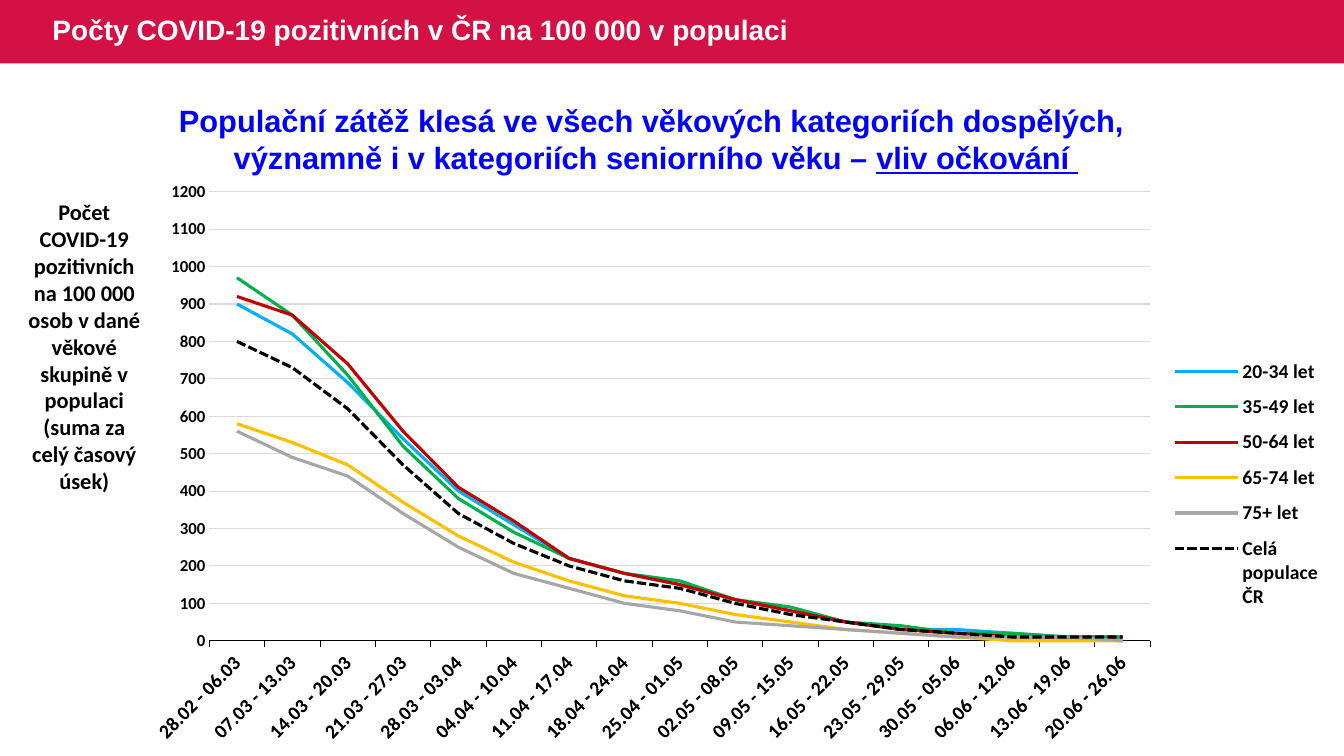
from dataclasses import dataclass
from typing import Any

from lxml import etree
from pptx import Presentation
from pptx.chart.data import CategoryChartData
from pptx.dml.color import RGBColor
from pptx.enum.chart import XL_CHART_TYPE, XL_LEGEND_POSITION, XL_TICK_MARK
from pptx.enum.dml import MSO_LINE
from pptx.enum.shapes import MSO_SHAPE
from pptx.enum.text import MSO_ANCHOR, MSO_AUTO_SIZE, PP_ALIGN
from pptx.oxml.ns import qn
from pptx.util import Inches, Pt

LINE_CHART = XL_CHART_TYPE.LINE
LEGEND_RIGHT = XL_LEGEND_POSITION.RIGHT
TICK_NONE, TICK_OUT = XL_TICK_MARK.NONE, XL_TICK_MARK.OUTSIDE
DASHED = MSO_LINE.SQUARE_DOT
RECTANGLE = MSO_SHAPE.RECTANGLE
MIDDLE = MSO_ANCHOR.MIDDLE
GROW = MSO_AUTO_SIZE.SHAPE_TO_FIT_TEXT
LEFT, CENTER = PP_ALIGN.LEFT, PP_ALIGN.CENTER
TITLE_ONLY = 5
SLIDE_WIDTH, SLIDE_HEIGHT = Inches(13.33), Inches(7.5)


@dataclass(frozen=True)
class Theme:
    heading_font: str = "Arial"
    body_font: str = "Calibri"
    banner: str = "D31145"
    title: str = "FFFFFF"
    message: str = "0000FF"
    text: str = "000000"
    grid: str = "D9D9D9"
    title_size: float = 20
    message_size: float = 22
    note_size: float = 16
    label_size: float = 14
    scale_size: float = 12
    curve_width: float = 2.25
    rule_width: float = 0.75


@dataclass(frozen=True)
class Area:
    """Percentages of the slide's width and height."""
    left: float
    top: float
    width: float
    height: float

    def bounds(self) -> tuple[int, int, int, int]:
        return (int(SLIDE_WIDTH * self.left / 100), int(SLIDE_HEIGHT * self.top / 100),
                int(SLIDE_WIDTH * self.width / 100), int(SLIDE_HEIGHT * self.height / 100))


@dataclass(frozen=True)
class AgeGroup:
    name: str
    color: str
    weekly: tuple[int, ...]
    dashed: bool = False


@dataclass(frozen=True)
class Phrase:
    text: str
    underline: bool = False


THEME = Theme()
BANNER = Area(0, 0, 100, 8.4)
TITLE = Area(3.15, 0, 62.8, 8.4)
CHART = Area(11.4, 23.33, 87.45, 78.27)
AXIS_NOTE = Area(1.13, 25.6, 10.28, 40.8)
MESSAGE = Area(2.25, 12.8, 93.1, 11.2)
PLOT_FRAME = {"x": 0.045, "y": 0.026, "w": 0.803, "h": 0.759}
LEGEND_FRAME = {"x": 0.86, "y": 0.29, "w": 0.14, "h": 0.46}

WEEKS = (
    "28.02 - 06.03", "07.03 - 13.03", "14.03 - 20.03", "21.03 - 27.03", "28.03 - 03.04",
    "04.04 - 10.04", "11.04 - 17.04", "18.04 - 24.04", "25.04 - 01.05", "02.05 - 08.05",
    "09.05 - 15.05", "16.05 - 22.05", "23.05 - 29.05", "30.05 - 05.06", "06.06 - 12.06",
    "13.06 - 19.06", "20.06 - 26.06",
)
AGE_GROUPS = (
    AgeGroup("20-34 let", "00B0F0",
             (900, 820, 690, 540, 400, 310, 220, 180, 150, 110, 80, 50, 30, 30, 20, 10, 10)),
    AgeGroup("35-49 let", "00B050",
             (970, 870, 710, 520, 380, 290, 220, 180, 160, 110, 90, 50, 40, 20, 20, 10, 10)),
    AgeGroup("50-64 let", "C00000",
             (920, 870, 740, 560, 410, 320, 220, 180, 150, 110, 80, 50, 30, 20, 10, 10, 0)),
    AgeGroup("65-74 let", "FFC000",
             (580, 530, 470, 370, 280, 210, 160, 120, 100, 70, 50, 30, 20, 10, 0, 0, 0)),
    AgeGroup("75+ let", "A6A6A6",
             (560, 490, 440, 340, 250, 180, 140, 100, 80, 50, 40, 30, 20, 10, 10, 10, 0)),
    AgeGroup("Celá populace ČR", THEME.text,
             (800, 730, 620, 470, 340, 260, 200, 160, 140, 100, 70, 50, 30, 20, 10, 10, 10), True),
)


def apply(target: Any, formats: dict[str, Any]) -> None:
    for attribute, value in formats.items():
        setattr(target, attribute, value)


def style_font(font: Any, family: str, size: float, color: str) -> None:
    apply(font, {"name": family, "size": Pt(size), "bold": True})
    font.color.rgb = RGBColor.from_string(color)


def style_line(line: Any, color: str, width: float) -> None:
    line.color.rgb = RGBColor.from_string(color)
    line.width = Pt(width)


def place(shape: Any, area: Area) -> None:
    apply(shape, dict(zip(("left", "top", "width", "height"), area.bounds())))


def write(frame: Any, lines: list[list[Phrase]], alignment: Any,
          family: str, size: float, color: str) -> None:
    for number, phrases in enumerate(lines):
        paragraph = frame.add_paragraph() if number else frame.paragraphs[0]
        paragraph.alignment = alignment
        for phrase in phrases:
            run = paragraph.add_run()
            run.text = phrase.text
            style_font(run.font, family, size, color)
            if phrase.underline:
                run.font.underline = True


def add_text(slide: Any, area: Area, lines: list[list[Phrase]],
             family: str, size: float, color: str) -> None:
    frame = slide.shapes.add_textbox(*area.bounds()).text_frame
    apply(frame, {"word_wrap": True, "auto_size": GROW})
    write(frame, lines, CENTER, family, size, color)


def set_frame(parent: Any, position: int, shares: dict[str, float], inner: bool = False) -> None:
    for previous in parent.findall(qn("c:layout")):
        parent.remove(previous)
    layout = etree.Element(qn("c:layout"))
    manual = etree.SubElement(layout, qn("c:manualLayout"))
    settings = {"layoutTarget": "inner"} if inner else {}
    settings |= {"xMode": "edge", "yMode": "edge"}
    settings |= {key: str(share) for key, share in shares.items()}
    for tag, value in settings.items():
        etree.SubElement(manual, qn(f"c:{tag}")).set("val", value)
    parent.insert(position, layout)


def add_banner_title(slide: Any) -> None:
    banner = slide.shapes.add_shape(RECTANGLE, *BANNER.bounds())
    banner.shadow.inherit = False
    banner.fill.solid()
    banner.fill.fore_color.rgb = RGBColor.from_string(THEME.banner)
    banner.line.fill.background()
    slide.shapes._spTree.insert(2, banner._element)
    title = slide.shapes.title
    place(title, TITLE)
    apply(title.text_frame, {"word_wrap": True, "vertical_anchor": MIDDLE})
    write(title.text_frame, [[Phrase("Počty COVID-19 pozitivních v ČR na 100 000 v populaci")]],
          LEFT, THEME.heading_font, THEME.title_size, THEME.title)
    title.text_frame.paragraphs[0].line_spacing = 0.9


def add_incidence_chart(slide: Any) -> None:
    data = CategoryChartData(number_format="0")
    data.categories = WEEKS
    for group in AGE_GROUPS:
        data.add_series(group.name, group.weekly)
    chart = slide.shapes.add_chart(LINE_CHART, *CHART.bounds(), data).chart
    apply(chart, {"has_title": False, "has_legend": True})
    apply(chart.legend, {"position": LEGEND_RIGHT, "include_in_layout": False})
    weeks, counts = chart.category_axis, chart.value_axis
    apply(weeks, {"major_tick_mark": TICK_OUT, "minor_tick_mark": TICK_NONE})
    apply(counts, {"major_tick_mark": TICK_NONE, "minor_tick_mark": TICK_NONE,
                   "minimum_scale": 0, "maximum_scale": 1200, "major_unit": 100,
                   "has_major_gridlines": True})
    for font, size in ((chart.font, THEME.label_size), (chart.legend.font, THEME.label_size),
                       (weeks.tick_labels.font, THEME.label_size),
                       (counts.tick_labels.font, THEME.scale_size)):
        style_font(font, THEME.body_font, size, THEME.text)
    weeks._element.find(qn("c:txPr")).find(qn("a:bodyPr")).set("rot", "-2700000")
    style_line(weeks.format.line, THEME.text, THEME.rule_width)
    counts.format.line.fill.background()
    style_line(counts.major_gridlines.format.line, THEME.grid, THEME.rule_width)
    plot = chart.plots[0]
    plot.vary_by_categories = False
    for group, curve in zip(AGE_GROUPS, plot.series):
        curve.smooth = False
        style_line(curve.format.line, group.color, THEME.curve_width)
        if group.dashed:
            curve.format.line.dash_style = DASHED
    set_frame(plot._element.getparent(), 0, PLOT_FRAME, inner=True)
    set_frame(chart.legend._element, 1, LEGEND_FRAME)


def main() -> None:
    deck = Presentation()
    apply(deck, {"slide_width": SLIDE_WIDTH, "slide_height": SLIDE_HEIGHT})
    slide = deck.slides.add_slide(deck.slide_layouts[TITLE_ONLY])
    add_banner_title(slide)
    add_incidence_chart(slide)
    add_text(slide, AXIS_NOTE, [[Phrase(
        "Počet COVID-19 pozitivních na 100 000 osob v dané věkové skupině "
        "v populaci (suma za celý časový úsek)")]],
        THEME.body_font, THEME.note_size, THEME.text)
    add_text(slide, MESSAGE, [
        [Phrase("Populační zátěž klesá ve všech věkových kategoriích dospělých, ")],
        [Phrase("významně i v kategoriích seniorního věku – "), Phrase("vliv očkování ", True)],
    ], THEME.heading_font, THEME.message_size, THEME.message)
    deck.save("out.pptx")


if __name__ == "__main__":
    main()
